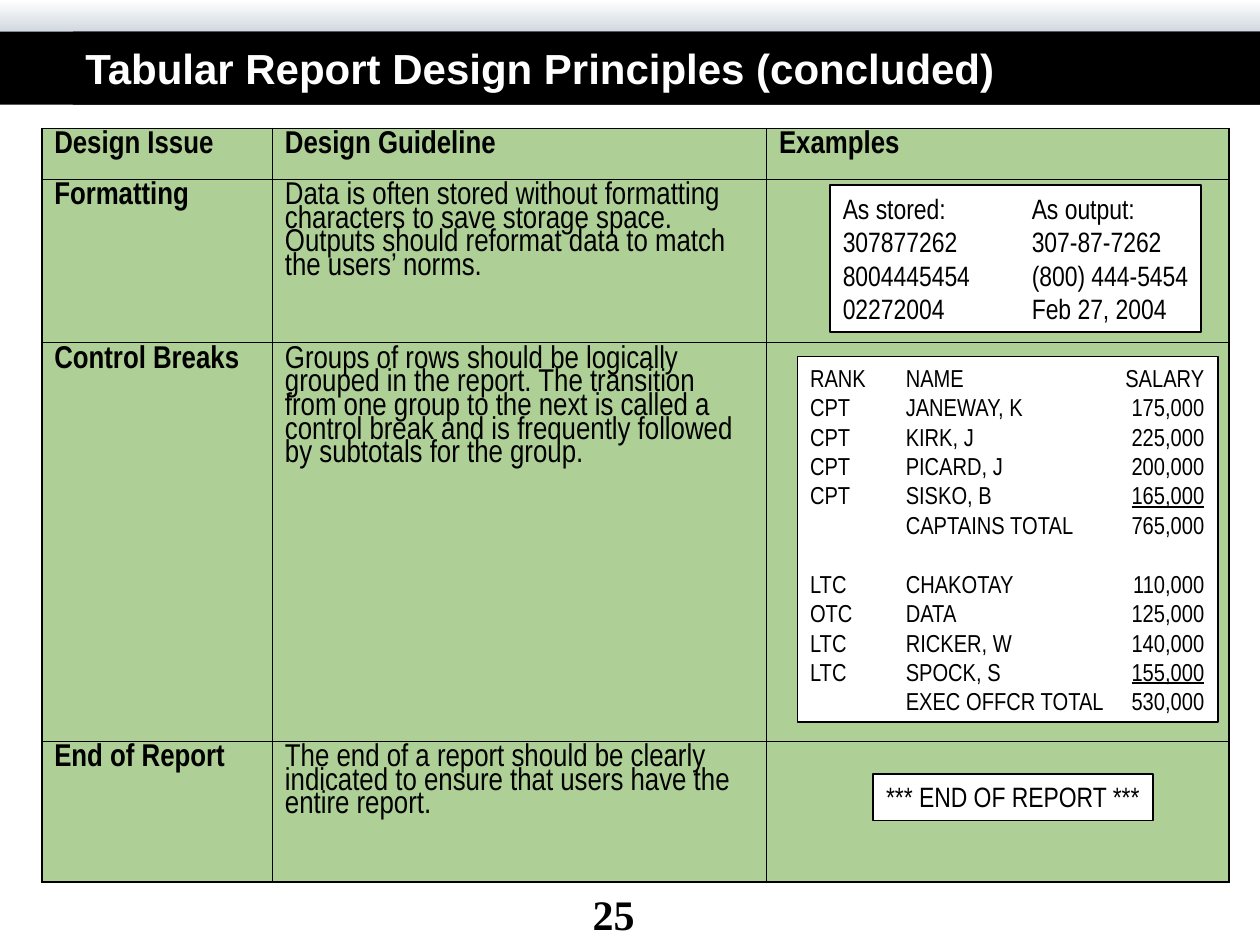
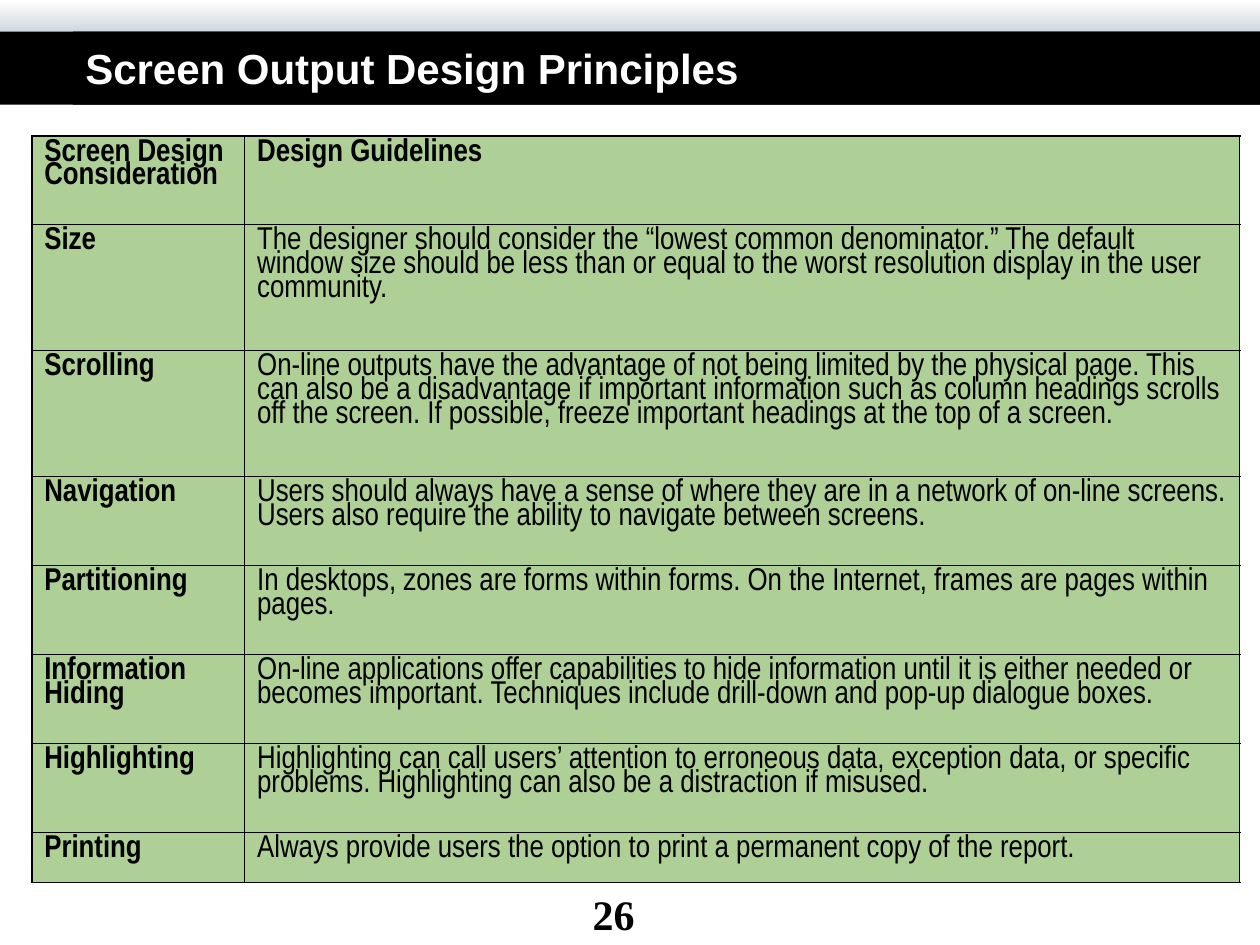
from dataclasses import dataclass

from lxml.etree import SubElement
from pptx import Presentation
from pptx.dml.color import RGBColor
from pptx.enum.shapes import MSO_SHAPE
from pptx.enum.text import MSO_ANCHOR, PP_ALIGN
from pptx.oxml.ns import qn
from pptx.util import Cm, Pt


@dataclass(frozen=True)
class Theme:
    black: str = "000000"
    white: str = "FFFFFF"
    mist: str = "B7C3CD"
    green: str = "AECF95"
    head: str = "Arial"
    body: str = "Arial Narrow"
    foot: str = "Times New Roman"
    large: int = 24
    main: int = 18
    note: int = 16
    small: int = 14
    tight: float = 0.8
    thick: float = 1.08
    thin: float = 0.45


THEME = Theme()
TITLE = {"name": THEME.head, "size": Pt(THEME.large), "bold": True}
PAGE = {"name": THEME.foot, "size": Pt(THEME.large), "bold": True}
CELL = {"name": THEME.body, "size": Pt(THEME.main)}
NOTE = {"name": THEME.body, "size": Pt(THEME.note)}
SMALL = {"name": THEME.body, "size": Pt(THEME.small)}

ISSUES = [
    ("Design Issue", "Design Guideline", "Examples"),
    ("Formatting",
     "Data is often stored without formatting characters to save storage space. "
     "Outputs should reformat data to match the users’ norms.", ""),
    ("Control Breaks",
     "Groups of rows should be logically grouped in the report. The transition "
     "from one group to the next is called a control break and is frequently "
     "followed by subtotals for the group.", ""),
    ("End of Report",
     "The end of a report should be clearly indicated to ensure that users have "
     "the entire report.", ""),
]
FORMATS = [
    ("As stored:", "As output:"),
    ("307877262", "307-87-7262"),
    ("8004445454", "(800) 444-5454"),
    ("02272004", "Feb 27, 2004"),
]
GROUPS = [
    [("RANK", "NAME", "SALARY"),
     ("CPT", "JANEWAY, K", "175,000"),
     ("CPT", "KIRK, J", "225,000"),
     ("CPT", "PICARD, J", "200,000"),
     ("CPT", "SISKO, B", "165,000"),
     ("", "CAPTAINS TOTAL", "765,000")],
    [("LTC", "CHAKOTAY", "110,000"),
     ("OTC", "DATA", "125,000"),
     ("LTC", "RICKER, W", "140,000"),
     ("LTC", "SPOCK, S", "155,000"),
     ("", "EXEC OFFCR TOTAL", "530,000")],
]
SCREENS = [
    ("Screen Design Consideration", "Design Guidelines"),
    ("Size",
     "The designer should consider the “lowest common denominator.” The default "
     "window size should be less than or equal to the worst resolution display "
     "in the user community."),
    ("Scrolling",
     "On-line outputs have the advantage of not being limited by the physical "
     "page. This can also be a disadvantage if important information such as "
     "column headings scrolls off the screen. If possible, freeze important "
     "headings at the top of a screen."),
    ("Navigation",
     "Users should always have a sense of where they are in a network of on-line "
     "screens. Users also require the ability to navigate between screens."),
    ("Partitioning",
     "In desktops, zones are forms within forms. On the Internet, frames are "
     "pages within pages."),
    ("Information Hiding",
     "On-line applications offer capabilities to hide information until it is "
     "either needed or becomes important. Techniques include drill-down and "
     "pop-up dialogue boxes."),
    ("Highlighting",
     "Highlighting can call users’ attention to erroneous data, exception data, "
     "or specific problems. Highlighting can also be a distraction if misused."),
    ("Printing",
     "Always provide users the option to print a permanent copy of the report."),
]


def color(code):
    return RGBColor.from_string(code)


def style(item, form):
    for key, value in form.items():
        setattr(item, key, value)


def write(para, text, form, ink=THEME.black, **extra):
    run = para.add_run()
    run.text = text
    style(run.font, {**form, **extra})
    run.font.color.rgb = color(ink)


def set_tabs(para, stops):
    """Add tab stops, given as (centimetres, alignment) pairs."""
    tabs = SubElement(para._p.get_or_add_pPr(), qn("a:tabLst"))
    for place, side in stops:
        SubElement(tabs, qn("a:tab"), pos=str(Cm(place)), algn=side)


def add_box(slide, area, fill=None, edge=False):
    box = slide.shapes.add_shape(MSO_SHAPE.RECTANGLE, *map(Cm, area))
    box.shadow.inherit = False
    if fill:
        box.fill.solid()
        box.fill.fore_color.rgb = color(fill)
    if edge:
        box.line.color.rgb = color(THEME.black)
        box.line.width = Pt(1)
    else:
        box.line.fill.background()
    return box


def add_note(slide, area, wrap=False):
    """Add a bordered white sample and return its text frame."""
    frame = add_box(slide, area, THEME.white, edge=True).text_frame
    style(frame, {"word_wrap": wrap, "vertical_anchor": MSO_ANCHOR.TOP})
    return frame


def add_lines(frame, count):
    paras = [frame.paragraphs[0]]
    paras += [frame.add_paragraph() for _ in range(count - 1)]
    for para in paras:
        para.alignment = PP_ALIGN.LEFT
    return paras


def add_frame(deck, title, page):
    """Start a slide with its bands, title and page number."""
    slide = deck.slides.add_slide(deck.slide_layouts[6])
    fade = add_box(slide, (0, 0, 25.4, 0.97)).fill
    fade.gradient()
    fade.gradient_angle = 270
    for stop, code in zip(fade.gradient_stops, (THEME.white, THEME.mist)):
        stop.color.rgb = color(code)
    add_box(slide, (0, 0.64, 25.4, 1.47), THEME.black)

    foot = slide.shapes.add_textbox(*map(Cm, (11, 17.78, 2.74, 1.27))).text_frame
    foot.word_wrap = True
    foot.paragraphs[0].alignment = PP_ALIGN.CENTER
    write(foot.paragraphs[0], str(page), PAGE)

    head = add_box(slide, (1.47, 0.64, 23.93, 1.47), THEME.black).text_frame
    style(head, {"word_wrap": True, "vertical_anchor": MSO_ANCHOR.MIDDLE})
    head.paragraphs[0].alignment = PP_ALIGN.LEFT
    write(head.paragraphs[0], title, TITLE, THEME.white)
    return slide


def set_edges(cell, outer):
    """Draw cell borders, thick on the sides flagged as outer."""
    props = cell._tc.get_or_add_tcPr()
    for side, bold in outer.items():
        width = Pt(THEME.thick if bold else THEME.thin)
        line = SubElement(props, qn(f"a:ln{side}"), w=str(width))
        fill = SubElement(line, qn("a:solidFill"))
        SubElement(fill, qn("a:srgbClr"), val=THEME.black)


def add_grid(slide, left, top, cols, rows, data):
    area = map(Cm, (left, top, sum(cols), sum(rows)))
    grid = slide.shapes.add_table(len(rows), len(cols), *area).table
    style(grid, {"first_row": False, "horz_banding": False})
    for col, width in zip(grid.columns, cols):
        col.width = Cm(width)
    for row, height in zip(grid.rows, rows):
        row.height = Cm(height)
    for y, texts in enumerate(data):
        for x, text in enumerate(texts):
            cell = grid.cell(y, x)
            set_edges(cell, {"L": x == 0, "R": x == len(cols) - 1,
                             "T": y == 0, "B": y == len(rows) - 1})
            cell.fill.solid()
            cell.fill.fore_color.rgb = color(THEME.green)
            if text:
                para = cell.text_frame.paragraphs[0]
                para.line_spacing = THEME.tight
                write(para, text, CELL, bold=x == 0 or y == 0)


def add_formats(slide):
    frame = add_note(slide, (16.74, 3.73, 7.47, 2.97))
    for para, pair in zip(add_lines(frame, len(FORMATS)), FORMATS):
        set_tabs(para, [(3.81, "l")])
        write(para, "\t".join(pair), NOTE)


def add_ranks(slide):
    """Add the salary listing, with the last pay before each total underlined."""
    frame = add_note(slide, (16.08, 7.19, 8.48, 7.37), wrap=True)
    paras = iter(add_lines(frame, sum(map(len, GROUPS))))
    for part, group in enumerate(GROUPS):
        for spot, (rank, name, pay) in enumerate(group):
            para = next(paras)
            set_tabs(para, [(1.93, "l"), (7.95, "r")])
            if part and spot == 0:
                para.space_before = Pt(16.8)
            write(para, f"{rank}\t{name}\t", SMALL)
            write(para, pay, SMALL, underline=spot == len(group) - 2)


def add_end(slide):
    para = add_note(slide, (17.6, 15.6, 5.64, 0.94)).paragraphs[0]
    para.alignment = PP_ALIGN.CENTER
    write(para, "*** END OF REPORT ***", NOTE)


def main():
    deck = Presentation()
    style(deck, {"slide_width": Cm(25.4), "slide_height": Cm(19.05)})

    slide = add_frame(deck, "Tabular Report Design Principles (concluded)", 25)
    add_grid(slide, 0.84, 2.59, (4.65, 9.96, 9.32),
             (1.02, 3.3, 8.03, 2.84), ISSUES)
    add_formats(slide)
    add_end(slide)
    add_ranks(slide)

    slide = add_frame(deck, "Screen Output Design Principles", 26)
    add_grid(slide, 0.64, 2.74, (4.29, 20.06),
             (1.79, 2.54, 2.54, *[1.79] * 4, 1.02), SCREENS)

    deck.save("out.pptx")


if __name__ == "__main__":
    main()
